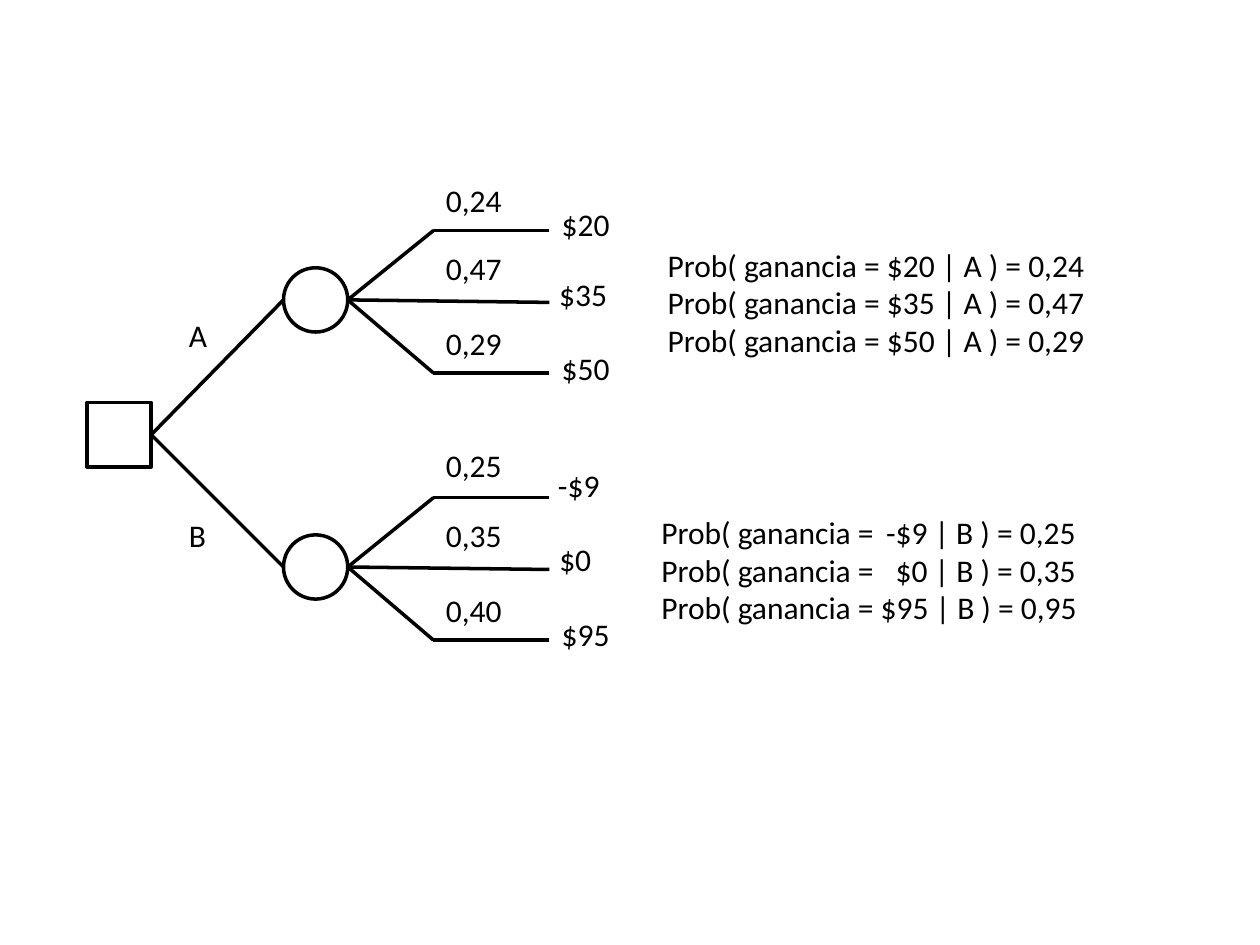
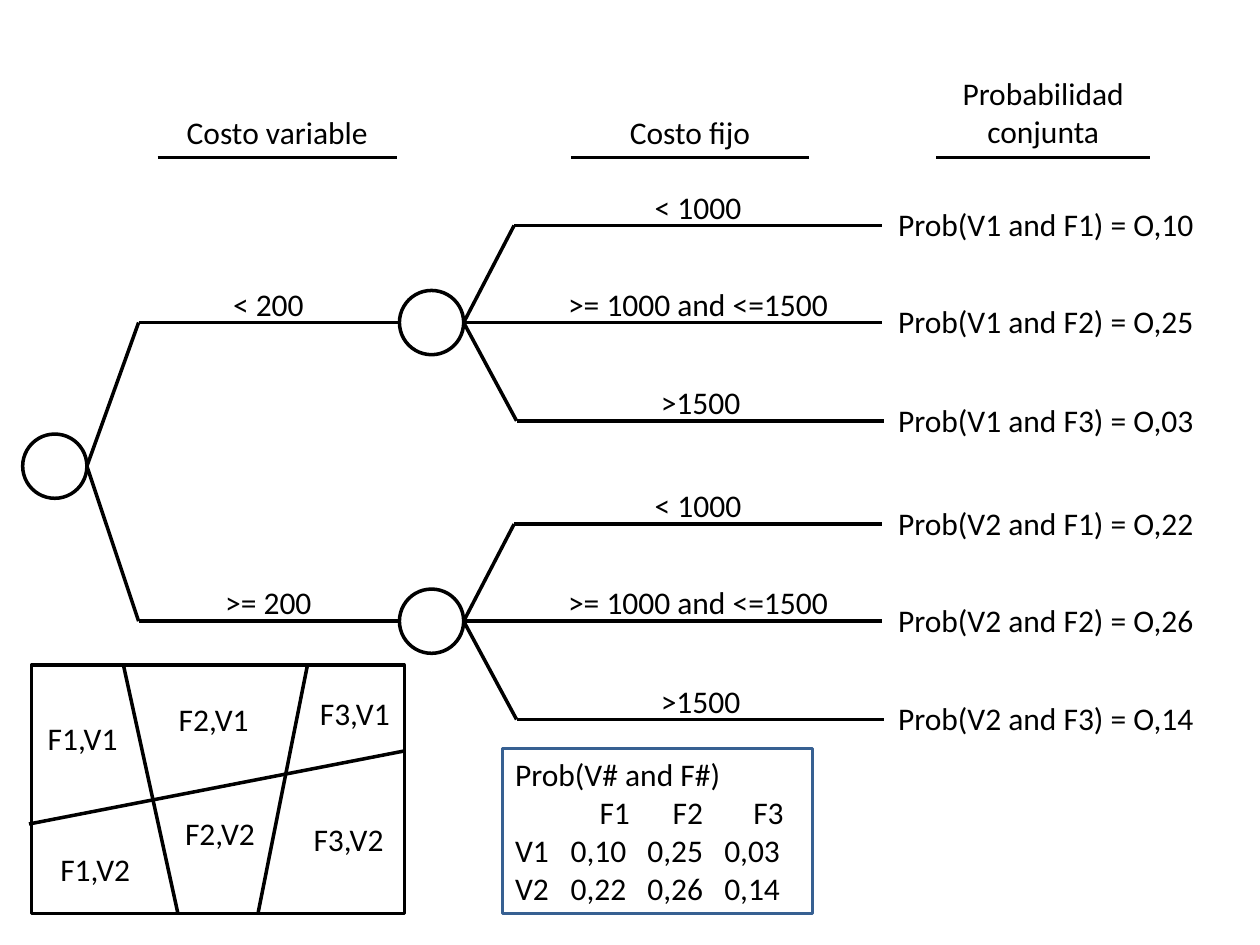
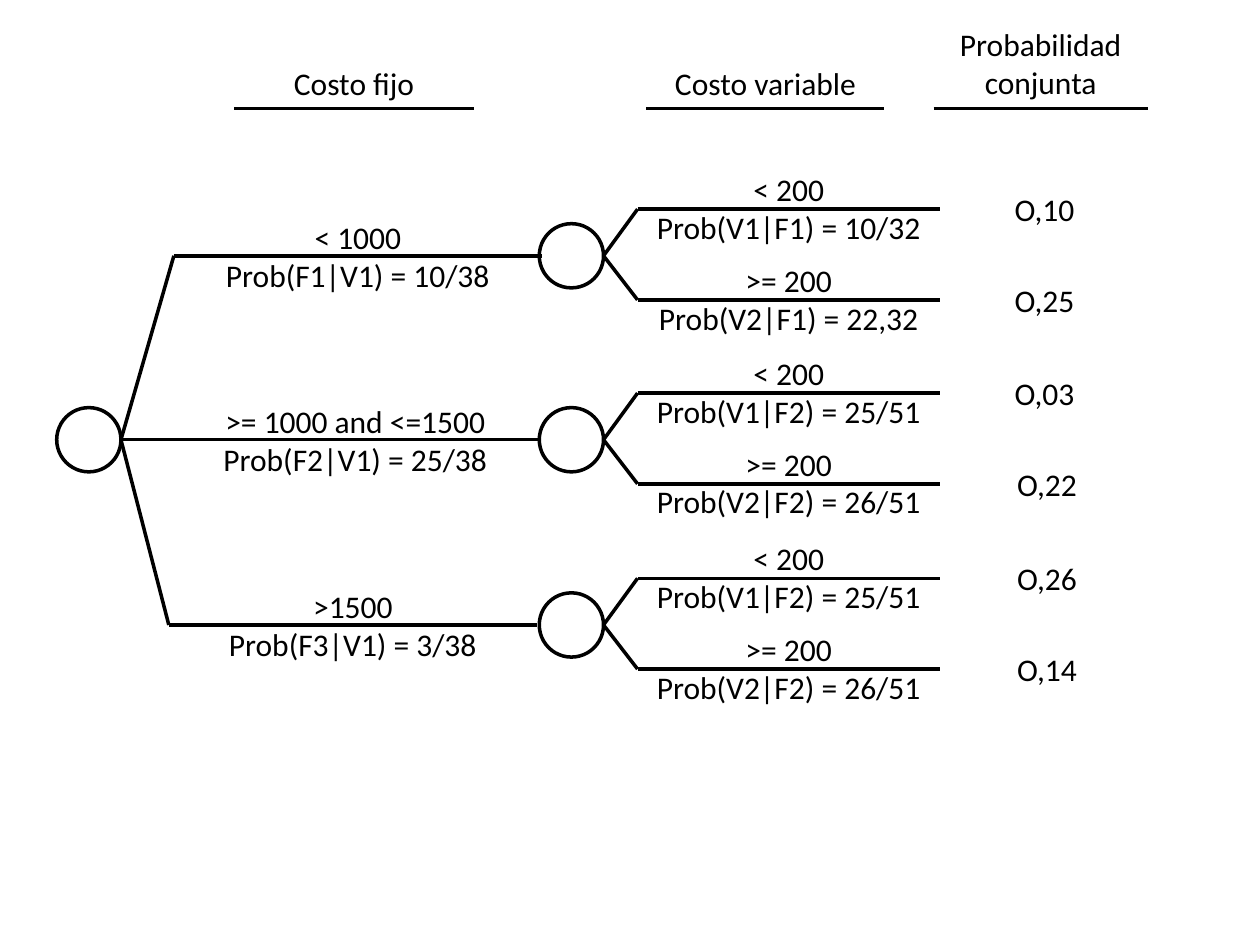
"""Builds three slides of decision and probability trees."""
from lxml.etree import SubElement
from pptx import Presentation
from pptx.dml.color import RGBColor
from pptx.enum.shapes import MSO_CONNECTOR, MSO_SHAPE
from pptx.enum.text import MSO_ANCHOR, PP_ALIGN
from pptx.oxml.ns import qn
from pptx.util import Inches, Pt

BLACK = "000000"
BLUE = "376092"
NODE = 0.51


def color(code):
    return RGBColor.from_string(code)


class Deck:
    def __init__(self):
        self.prs = Presentation()
        self.prs.slide_width = Inches(10)
        self.prs.slide_height = Inches(7.5)
        self.slide = None

    def add(self):
        self.slide = self.prs.slides.add_slide(self.prs.slide_layouts[6])

    def fill(self, frame, rows, align=PP_ALIGN.LEFT, stops=()):
        for i, row in enumerate(rows):
            para = frame.paragraphs[0] if i == 0 else frame.add_paragraph()
            para.alignment = align
            run = para.add_run()
            run.text = row
            run.font.size = Pt(18)
            run.font.name = "Calibri"
            run.font.color.rgb = color(BLACK)
            if "\t" in row:
                self.tabs(para, stops[i])

    def tabs(self, para, stops):
        group = SubElement(para._p.get_or_add_pPr(), qn("a:tabLst"))
        for place, side in stops:
            SubElement(group, qn("a:tab"), pos=str(Inches(place)), algn=side)

    def text(self, x, y, w, *rows, h=0.4, align=PP_ALIGN.LEFT, wrap=True, stops=()):
        box = self.slide.shapes.add_textbox(Inches(x), Inches(y), Inches(w), Inches(h))
        box.text_frame.word_wrap = wrap
        self.fill(box.text_frame, rows, align, stops)

    def tag(self, x, y, w, word):
        self.text(x, y, w, word, wrap=False)

    def label(self, x, y, w, *rows, h=0.71):
        self.text(x, y, w, *rows, h=h, align=PP_ALIGN.CENTER)

    def line(self, x1, y1, x2, y2):
        line = self.slide.shapes.add_connector(
            MSO_CONNECTOR.STRAIGHT, Inches(x1), Inches(y1), Inches(x2), Inches(y2))
        line.line.color.rgb = color(BLACK)
        line.line.width = Pt(2)
        SubElement(line._element.spPr, qn("a:effectLst"))

    def branch(self, x, y, bend, end, level):
        self.line(x, y, bend, level)
        self.line(bend, level, end, level)

    def shape(self, kind, x, y, w, h, edge=BLACK):
        shape = self.slide.shapes.add_shape(kind, Inches(x), Inches(y), Inches(w), Inches(h))
        shape.shadow.inherit = False
        shape.fill.background()
        shape.line.color.rgb = color(edge)
        shape.line.width = Pt(2)
        return shape

    def node(self, x, y, kind=MSO_SHAPE.OVAL):
        self.shape(kind, x, y - NODE / 2, NODE, NODE)

    def heads(self, base, *heads):
        for x, w, word, h in heads:
            self.label(x, base - h, w, word, h=h)
            self.line(x, base, x + w, base)


def gains(deck):
    deck.add()
    deck.node(0.69, 3.45, MSO_SHAPE.RECTANGLE)
    trees = (
        (2.38, "A", 2.46, (("0,24", 1.39, "$20", 4.36, 1.58),
                           ("0,47", 1.93, "$35", 4.34, 2.13),
                           ("0,29", 2.52, "$50", 4.36, 2.72))),
        (4.5, "B", 4.05, (("0,25", 3.49, "-$9", 4.33, 3.65),
                          ("0,35", 4.05, "$0", 4.34, 4.24),
                          ("0,40", 4.64, "$95", 4.36, 4.83))),
    )
    for y, name, top, leaves in trees:
        deck.node(2.25, y)
        deck.line(1.2, 3.45, 2.25, y)
        deck.tag(1.4, top, 0.35, name)
        deck.branch(2.76, y, 3.44, 4.36, y - 0.55)
        deck.line(2.76, y, 4.36, y + 0.02)
        deck.branch(2.76, y, 3.44, 4.36, y + 0.58)
        for odds, high, gain, x, low in leaves:
            deck.tag(3.44, high, 0.65, odds)
            deck.tag(x, low, 0.15 + 0.15 * len(gain), gain)
    deck.text(5.2, 1.9, 3.74, "Prob( ganancia = $20 | A ) = 0,24",
              "Prob( ganancia = $35 | A ) = 0,47",
              "Prob( ganancia = $50 | A ) = 0,29", h=1.01)
    deck.text(5.15, 4.02, 3.79, "Prob( ganancia =\t-$9 | B ) = 0,25",
              "Prob( ganancia =\t$0 | B ) = 0,35",
              "Prob( ganancia = $95 | B ) = 0,95", h=1.01,
              stops=[[(3.29, "r")]] * 2)


def joint(deck):
    deck.add()
    deck.heads(1.25, (1.25, 1.9, "Costo variable", 0.4), (4.53, 1.89, "Costo fijo", 0.4),
               (7.43, 1.7, "Probabilidad conjunta", 0.71))
    deck.node(0.18, 3.7)
    trees = ((2.56, "< 200", "V1", ("10", "25", "03")),
             (4.93, ">= 200", "V2", ("22", "26", "14")))
    fixed = ((-0.77, 4.08, "< 1000"), (0, 4.08, ">= 1000 and <=1500"), (0.78, 4.1, ">1500"))
    for y, cost, name, odds in trees:
        deck.branch(0.69, 3.7, 1.1, 3.17, y)
        deck.label(1.1, y - 0.35, 2.06, cost)
        deck.node(3.17, y)
        for i, (step, x, word) in enumerate(fixed):
            level = y + step
            deck.branch(3.68, y, x, x + 2.92, level)
            deck.label(x, level - 0.35, 2.92, word)
            deck.text(7.03, level - 0.21, 2.6, f"Prob({name} and F{i + 1}) = O,{odds[i]}")
    areas(deck)
    table = deck.shape(MSO_SHAPE.RECTANGLE, 3.99, 5.94, 2.46, 1.31, BLUE)
    table.text_frame.vertical_anchor = MSO_ANCHOR.MIDDLE
    head = [(x, "l") for x in (0.67, 1.25, 1.89)]
    body = [(x, "l") for x in (0.44, 1.05, 1.66)]
    deck.fill(table.text_frame,
              ("Prob(V# and F#)", "\tF1\tF2\tF3", "V1\t0,10\t0,25\t0,03",
               "V2\t0,22\t0,26\t0,14"), stops=((), head, body, body))


def areas(deck):
    deck.shape(MSO_SHAPE.RECTANGLE, 0.25, 5.28, 2.96, 1.97)
    for ends in ((0.98, 5.28, 1.41, 7.24), (2.44, 5.28, 2.05, 7.24), (0.23, 6.54, 3.21, 5.96)):
        deck.line(*ends)
    for x, y, word in ((0.28, 5.66, "F1,V1"), (1.32, 5.51, "F2,V1"), (2.44, 5.46, "F3,V1"),
                       (0.38, 6.7, "F1,V2"), (1.37, 6.41, "F2,V2"), (2.39, 6.46, "F3,V2")):
        deck.tag(x, y, 0.78, word)


def given(deck):
    deck.add()
    deck.heads(0.86, (1.86, 1.9, "Costo fijo", 0.4), (5.13, 1.89, "Costo variable", 0.4),
               (7.41, 1.7, "Probabilidad conjunta", 0.71))
    deck.node(0.45, 3.49)
    trees = (
        (2.03, 1.38, "< 1000", "Prob(F1|V1) = 10/38",
         (("Prob(V1|F1) = 10/32", "O,10", 7.44), ("Prob(V2|F1) = 22,32", "O,25", 7.44))),
        (3.49, 1.36, ">= 1000 and <=1500", "Prob(F2|V1) = 25/38",
         (("Prob(V1|F2) = 25/51", "O,03", 7.44), ("Prob(V2|F2) = 26/51", "O,22", 7.46))),
        (4.96, 1.34, ">1500", "Prob(F3|V1) = 3/38",
         (("Prob(V1|F2) = 25/51", "O,26", 7.46), ("Prob(V2|F2) = 26/51", "O,14", 7.46))),
    )
    costs = ((-0.37, "< 200"), (0.35, ">= 200"))
    for y, x, cost, odds, leaves in trees:
        deck.branch(0.96, 3.49, x, x + 2.92, y)
        deck.label(x, y - 0.35, 2.92, cost, odds)
        deck.node(4.28, y)
        for (step, word), (rule, total, left) in zip(costs, leaves):
            level = y + step
            deck.branch(4.79, y, 5.06, 7.46, level)
            deck.label(5.06, level - 0.36, 2.4, word, rule)
            deck.label(left, level - 0.2, 1.7, total, h=0.4)


def main():
    deck = Deck()
    gains(deck)
    joint(deck)
    given(deck)
    deck.prs.save("out.pptx")


if __name__ == "__main__":
    main()
